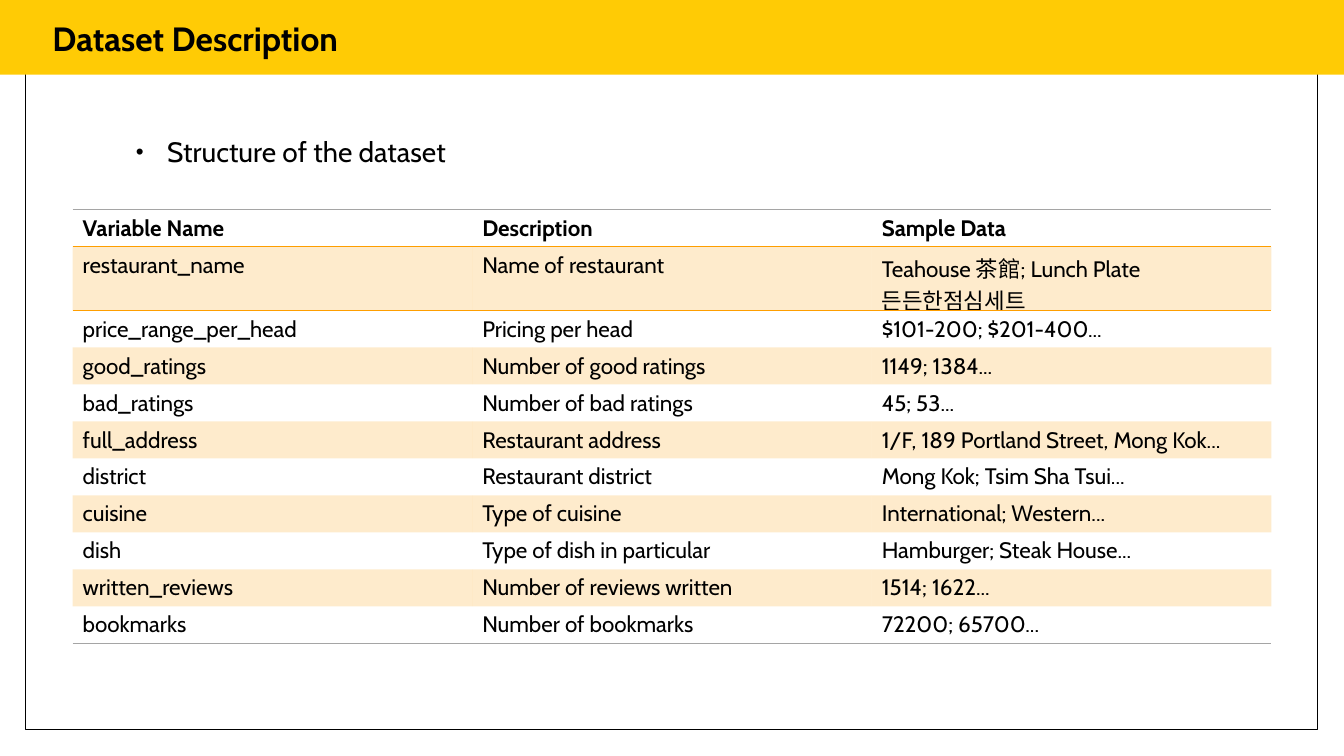
import pptx
import pptx.util
import pptx.dml.color
import pptx.enum.shapes
import pptx.enum.text
import pptx.oxml
import pptx.oxml.ns
import lxml.etree

Inches = pptx.util.Inches
Pt = pptx.util.Pt
RGBColor = pptx.dml.color.RGBColor
qn = pptx.oxml.ns.qn

BLACK = RGBColor(0x00, 0x00, 0x00)
WHITE = RGBColor(0xFF, 0xFF, 0xFF)
YELLOW = RGBColor(0xFF, 0xCB, 0x05)
ORANGE = RGBColor(0xFE, 0x9E, 0x00)
GREY = RGBColor(0xA5, 0xA5, 0xA5)

FONT = "Cabin"
KOREAN_FONT = "Noto Sans CJK KR"
PLAIN_TABLE = "{2D5ABB26-0587-4C30-8999-92F81FD0307C}"

HEADER = ("Variable Name", "Description", "Sample Data")
VARIABLES = [
    ("restaurant_name", "Name of restaurant", "Teahouse 茶館; Lunch Plate 든든한점심세트"),
    ("price_range_per_head", "Pricing per head", "$101-200; $201-400..."),
    ("good_ratings", "Number of good ratings", "1149; 1384..."),
    ("bad_ratings", "Number of bad ratings", "45; 53..."),
    ("full_address", "Restaurant address", "1/F, 189 Portland Street, Mong Kok..."),
    ("district", "Restaurant district", "Mong Kok; Tsim Sha Tsui..."),
    ("cuisine", "Type of cuisine", "International; Western..."),
    ("dish", "Type of dish in particular", "Hamburger; Steak House..."),
    ("written_reviews", "Number of reviews written", "1514; 1622..."),
    ("bookmarks", "Number of bookmarks", "72200; 65700..."),
]


class SlideBuilder:
    def __init__(self, deck):
        self.page = deck.slides.add_slide(deck.slide_layouts[5])
        self.font = FONT

    def add_span(self, para, text, size, bold=False, font=None):
        span = para.add_run()
        span.text = text
        span.font.name = font or self.font
        span.font.size = Pt(size)
        span.font.bold = bold
        span.font.color.rgb = BLACK

    def rectangle(self, left, top, width, height, fill, line=None):
        box = self.page.shapes.add_shape(
            pptx.enum.shapes.MSO_SHAPE.RECTANGLE,
            Inches(left), Inches(top), Inches(width), Inches(height))
        box.shadow.inherit = False
        box.fill.solid()
        box.fill.fore_color.rgb = fill
        if line is None:
            box.line.fill.background()
        else:
            box.line.color.rgb = line
            box.line.width = Pt(1)

    def title(self, text, left, top, width, height):
        box = self.page.shapes.title
        box.left, box.top = Inches(left), Inches(top)
        box.width, box.height = Inches(width), Inches(height)
        self.page.shapes._spTree.append(box._element)
        frame = box.text_frame
        frame.word_wrap = True
        frame.auto_size = pptx.enum.text.MSO_AUTO_SIZE.SHAPE_TO_FIT_TEXT
        frame.vertical_anchor = pptx.enum.text.MSO_ANCHOR.TOP
        para = frame.paragraphs[0]
        para.alignment = pptx.enum.text.PP_ALIGN.LEFT
        self.add_span(para, text, 24, bold=True)

    def bullet(self, text, left, top, width, height):
        box = self.page.shapes.add_textbox(
            Inches(left), Inches(top), Inches(width), Inches(height))
        box.text_frame.word_wrap = True
        para = box.text_frame.paragraphs[0]
        para.line_spacing = 0.9
        properties = para._p.get_or_add_pPr()
        properties.set("marL", str(Inches(0.31)))
        properties.set("indent", str(-Inches(0.31)))
        color = lxml.etree.SubElement(properties, qn("a:buClr"))
        lxml.etree.SubElement(color, qn("a:srgbClr"), val=str(BLACK))
        lxml.etree.SubElement(properties, qn("a:buSzPct"), val="80000")
        lxml.etree.SubElement(properties, qn("a:buFont"), typeface="Arial")
        lxml.etree.SubElement(properties, qn("a:buChar"), char="•")
        self.add_span(para, text, 20)

    def border(self, cell, sides):
        properties = cell._tc.get_or_add_tcPr()
        for position, (side, color) in enumerate(sides):
            line = lxml.etree.Element(qn("a:" + side), w=str(Pt(1)))
            fill = lxml.etree.SubElement(line, qn("a:solidFill"))
            lxml.etree.SubElement(fill, qn("a:srgbClr"), val=str(color))
            properties.insert(position, line)

    def shade(self, cell, banded):
        if not banded:
            cell.fill.background()
            return
        cell.fill.solid()
        cell.fill.fore_color.rgb = ORANGE
        color = cell._tc.tcPr.find(".//" + qn("a:srgbClr"))
        lxml.etree.SubElement(color, qn("a:alpha"), val="20000")

    def table(self, rows, left, top, width, row_height, tall_height):
        columns = len(rows[0])
        height = row_height * (len(rows) - 1) + tall_height
        table = self.page.shapes.add_table(
            len(rows), columns,
            Inches(left), Inches(top), Inches(width), Inches(height)).table
        table.first_row = False
        table.horz_banding = False
        table._tbl.tblPr.find(qn("a:tableStyleId")).text = PLAIN_TABLE
        for column in table.columns:
            column.width = Inches(width / columns)
        for index, values in enumerate(rows):
            table.rows[index].height = Inches(tall_height if index == 1 else row_height)
            for column, text in enumerate(values):
                cell = table.cell(index, column)
                para = cell.text_frame.paragraphs[0]
                if text.endswith("트"):
                    self.add_span(para, text[:-1], 16)
                    self.add_span(para, text[-1], 16, font=KOREAN_FONT)
                else:
                    self.add_span(para, text, 16, bold=index == 0)
                self.shade(cell, index % 2 == 1)
                if index == 0:
                    self.border(cell, [("lnT", GREY), ("lnB", ORANGE)])
                elif index == 1:
                    self.border(cell, [("lnT", ORANGE)])
                elif index == len(rows) - 1:
                    self.border(cell, [("lnB", GREY)])


def main():
    deck = pptx.Presentation()
    deck.slide_width = Inches(13.33)
    deck.slide_height = Inches(7.5)
    slide = SlideBuilder(deck)
    slide.rectangle(0.25, 0.27, 12.82, 6.97, WHITE, BLACK)
    slide.bullet("Structure of the dataset", 1.25, 1.32, 11.09, 0.49)
    slide.rectangle(0, 0, 13.33, 0.74, YELLOW)
    slide.title("Dataset Description", 0.42, 0.13, 3.82, 0.5)
    slide.table([HEADER] + VARIABLES, 0.72, 2.08, 11.89, 0.36, 0.53)
    deck.save("out.pptx")


if __name__ == "__main__":
    main()
